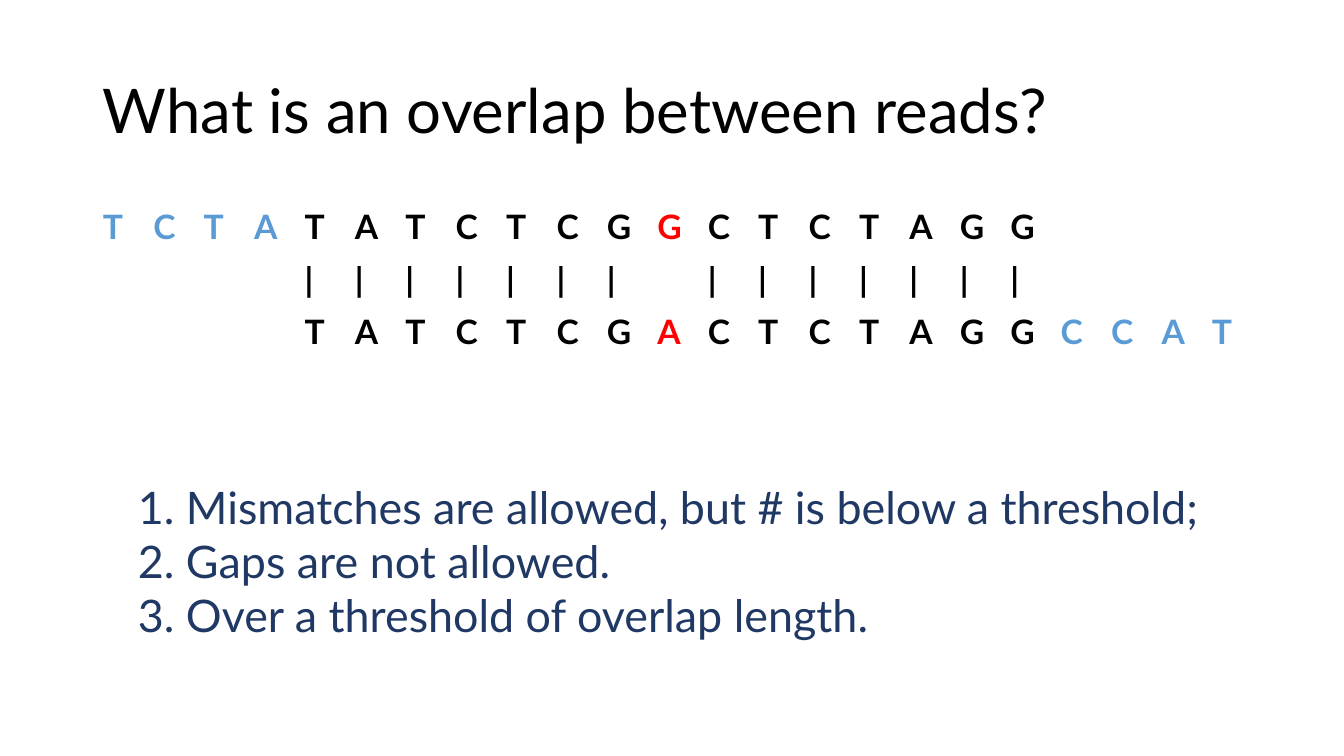
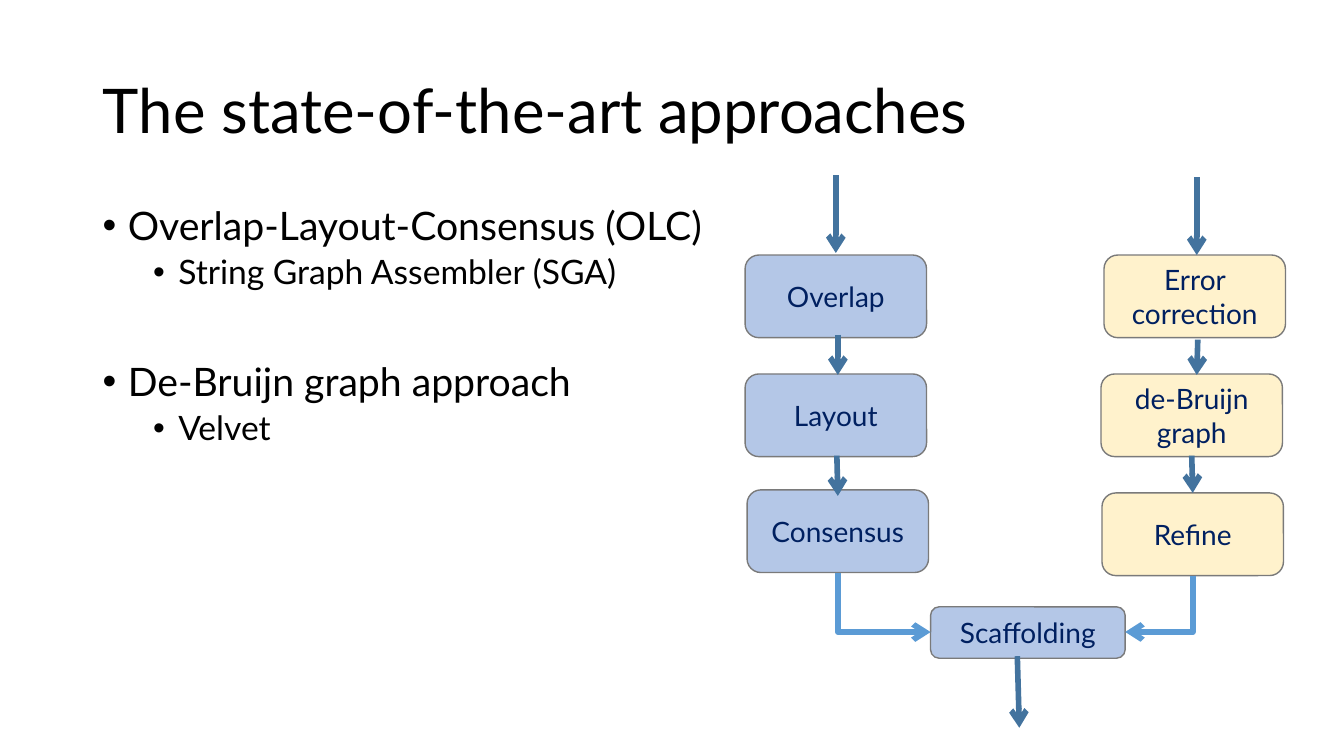
from lxml.etree import SubElement
from pptx import Presentation
from pptx.dml.color import RGBColor
from pptx.enum.shapes import MSO_CONNECTOR as Link, MSO_SHAPE as Shape
from pptx.enum.text import MSO_ANCHOR as Anchor, MSO_AUTO_SIZE as AutoSize, PP_ALIGN as Align
from pptx.oxml.ns import qn
from pptx.util import Pt

EMU_PER_PX = 9144  # 100 px to the inch
FONT = "Lato"
BLACK = RGBColor(0x00, 0x00, 0x00)
RED = RGBColor(0xFF, 0x00, 0x00)
BLUE = RGBColor(0x5B, 0x9B, 0xD5)
STEEL = RGBColor(0x43, 0x73, 0x9E)
NAVY = RGBColor(0x00, 0x20, 0x60)
DARK_BLUE = RGBColor(0x20, 0x38, 0x64)
GRAY = RGBColor(0x7A, 0x7A, 0x7A)
PALE_BLUE = RGBColor(0xB4, 0xC7, 0xE7)
CREAM = RGBColor(0xFF, 0xF2, 0xCC)


def px(*lengths):
    return [round(length * EMU_PER_PX) for length in lengths]


class Deck:
    """Holds the shared style and the slide being filled."""

    def __init__(self, width, height):
        self.prs = Presentation()
        self.prs.slide_width, self.prs.slide_height = px(width, height)
        self.slide = None

    def start_slide(self, title):
        self.slide = self.prs.slides.add_slide(self.prs.slide_layouts[5])
        heading = self.slide.shapes.title
        heading.left, heading.top, heading.width, heading.height = px(92, 40, 1150, 145)
        frame = heading.text_frame
        frame.auto_size = AutoSize.NONE
        frame.vertical_anchor = Anchor.MIDDLE
        paragraph = frame.paragraphs[0]
        paragraph.line_spacing = 0.9
        self.add_text(paragraph, title, 44, BLACK, align=Align.LEFT)

    def add_text(self, paragraph, text, size, color, bold=False, align=None):
        paragraph.alignment = align
        run = paragraph.add_run()
        run.text = text
        run.font.name, run.font.size, run.font.bold = FONT, Pt(size), bold
        run.font.color.rgb = color

    def paragraphs(self, frame, count):
        return [frame.paragraphs[0]] + [frame.add_paragraph() for _ in range(count - 1)]

    def text_box(self, box, lines, size, color):
        frame = self.slide.shapes.add_textbox(*px(*box)).text_frame
        frame.word_wrap = True
        for paragraph, line in zip(self.paragraphs(frame, len(lines)), lines):
            self.add_text(paragraph, line, size, color)

    def bullets(self, box, items):
        """Each item is (level, space before in points, text)."""
        frame = self.slide.shapes.add_textbox(*px(*box)).text_frame
        frame.word_wrap = True
        for paragraph, (level, gap, text) in zip(self.paragraphs(frame, len(items)), items):
            paragraph.level = level
            paragraph.line_spacing = 0.9
            paragraph.space_before = Pt(gap)
            self.add_text(paragraph, text, 28 - 4 * level, BLACK)
            indent, hanging = px(25 + 50 * level, -25)
            properties = paragraph._p.get_or_add_pPr()
            properties.set("marL", str(indent))
            properties.set("indent", str(hanging))
            SubElement(properties, qn("a:buFont")).set("typeface", "Arial")
            SubElement(properties, qn("a:buChar")).set("char", "•")

    def letter_grid(self, left, top, column, row, rows):
        """Each row maps a column number to (letter, colour)."""
        columns = 1 + max(max(letters) for letters in rows)
        table = self.slide.shapes.add_table(
            len(rows), columns, *px(left, top, column * columns, row * len(rows))).table
        table.first_row = table.horz_banding = False
        for cell in table.iter_cells():
            cell.fill.background()
        for r, letters in enumerate(rows):
            for c, (letter, color) in letters.items():
                paragraph = table.cell(r, c).text_frame.paragraphs[0]
                self.add_text(paragraph, letter, 24, color, bold=True)

    def step(self, box, lines, fill):
        step = self.slide.shapes.add_shape(Shape.FLOWCHART_ALTERNATE_PROCESS, *px(*box))
        step.shadow.inherit = False
        step.fill.solid()
        step.fill.fore_color.rgb = fill
        step.line.color.rgb, step.line.width = GRAY, Pt(1)
        frame = step.text_frame
        frame.word_wrap = True
        frame.vertical_anchor = Anchor.MIDDLE
        for paragraph, line in zip(self.paragraphs(frame, len(lines)), lines):
            self.add_text(paragraph, line, 20, NAVY, align=Align.CENTER)

    def arrow(self, x1, y1, x2, y2, color=STEEL, kind=Link.STRAIGHT):
        arrow = self.slide.shapes.add_connector(kind, *px(x1, y1, x2, y2))
        arrow.line.color.rgb, arrow.line.width = color, Pt(4)
        properties = arrow._element.spPr
        SubElement(properties.find(qn("a:ln")), qn("a:tailEnd")).set("type", "arrow")
        SubElement(properties, qn("a:effectLst"))
        return properties

    def corner_arrow(self, x1, y1, x2, y2):
        """Runs down, then sideways: a one-bend connector turned by 90 degrees."""
        mid_x, mid_y = (x1 + x2) / 2, (y1 + y2) / 2
        drop, run = (y2 - y1) / 2, (x2 - x1) / 2
        properties = self.arrow(mid_x - drop, mid_y + run, mid_x + drop, mid_y - run,
                                BLUE, Link.ELBOW)
        properties.find(qn("a:xfrm")).set("rot", "5400000")
        properties.find(qn("a:prstGeom")).set("prst", "bentConnector2")


def align_reads(first, second, shift):
    """Rows for the first read, the match marks and the second read."""
    top, marks, bottom = {}, {}, {}
    for column in range(shift + len(second)):
        upper = first[column] if column < len(first) else None
        lower = second[column - shift] if column >= shift else None
        if upper and lower:
            color = BLACK if upper == lower else RED
        else:
            color = BLUE
        if upper:
            top[column] = upper, color
        if lower:
            bottom[column] = lower, color
        if upper == lower:
            marks[column] = "|", BLACK
    return [top, marks, bottom]


def overlap_slide(deck):
    deck.start_slide("What is an overlap between reads?")
    reads = align_reads("TCTATATCTCGGCTCTAGG", "TATCTCGACTCTAGGCCAT", 4)
    deck.letter_grid(92, 200, 50, 52, reads)
    deck.text_box((127, 471, 1170, 173), [
        "1. Mismatches are allowed, but # is below a threshold;",
        "2. Gaps are not allowed.",
        "3. Over a threshold of overlap length.",
    ], 32, DARK_BLUE)


def approaches_slide(deck):
    deck.start_slide("The state-of-the-art approaches")
    deck.bullets((92, 200, 640, 476), [
        (0, 10, "Overlap-Layout-Consensus (OLC)"),
        (1, 5, "String Graph Assembler (SGA)"),
        (0, 50, "De-Bruijn graph approach"),
        (1, 5, "Velvet"),
    ])

    # Steps of both pipelines and their shared end
    olc_steps = [(739, 253, ["Overlap"]), (739, 371, ["Layout"]), (741, 486, ["Consensus"])]
    graph_steps = [(1095, 253, ["Error correction"]), (1092, 371, ["de-Bruijn", "graph"]),
                   (1093, 489, ["Refine"])]
    for steps, fill in ((olc_steps, PALE_BLUE), (graph_steps, CREAM)):
        for left, top, lines in steps:
            deck.step((left, top, 180, 82), lines, fill)
    deck.step((923, 602, 193, 51), ["Scaffolding"], PALE_BLUE)

    # Flow between the steps
    for ends in (
        (829, 174, 829, 251), (831, 332, 831, 372), (830, 452, 831, 492),
        (1187, 176, 1187, 253), (1188, 337, 1187, 372), (1182, 452, 1183, 489),
        (1009, 651, 1011, 722),
    ):
        deck.arrow(*ends)
    deck.corner_arrow(831, 568, 923, 627)
    deck.corner_arrow(1183, 571, 1116, 627)


def main():
    deck = Deck(1333, 750)
    overlap_slide(deck)
    approaches_slide(deck)
    deck.prs.save("out.pptx")


if __name__ == "__main__":
    main()
